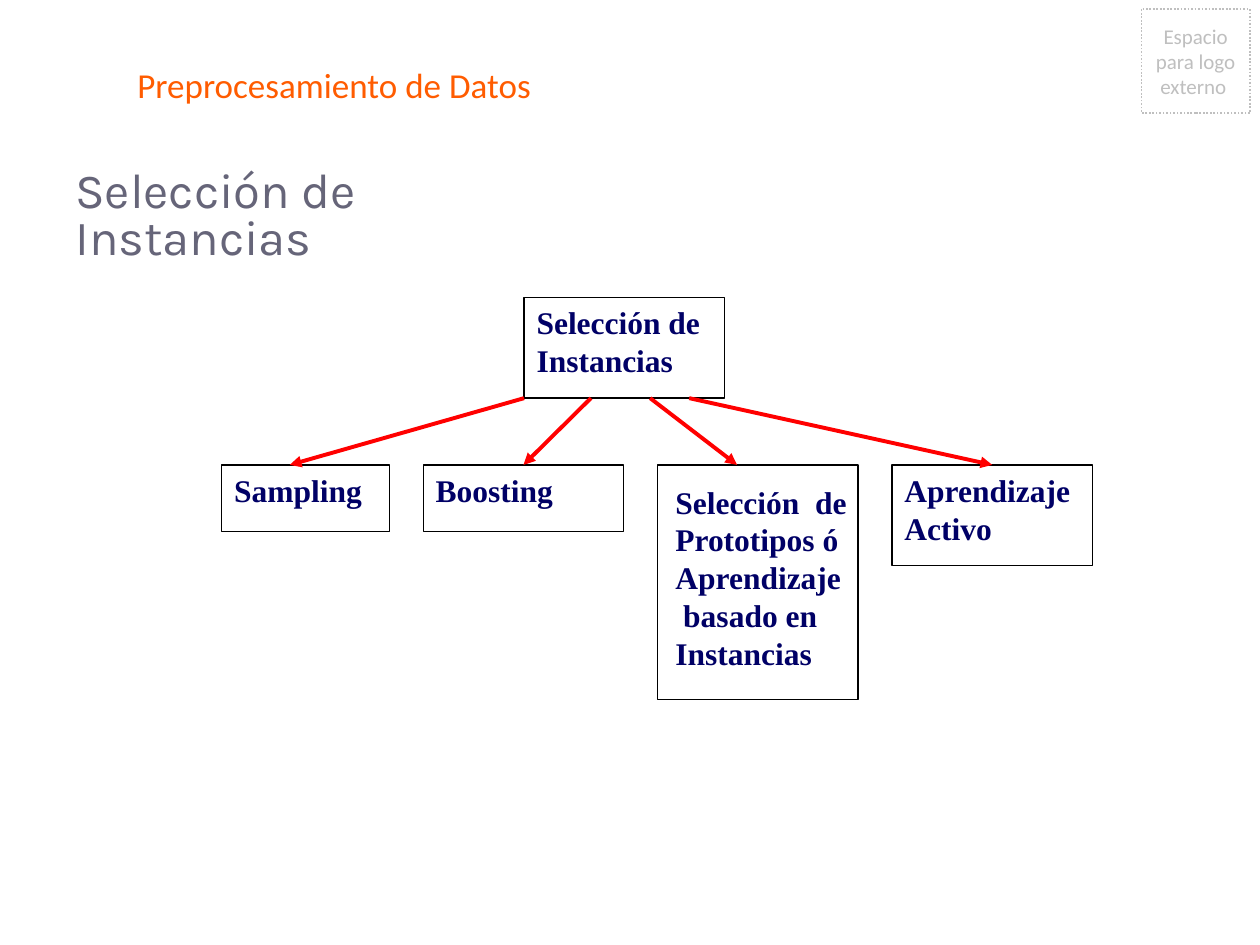
from pptx import Presentation
from pptx.dml.color import RGBColor
from pptx.enum.dml import MSO_LINE_DASH_STYLE as Dash
from pptx.enum.shapes import MSO_CONNECTOR as Conn, MSO_SHAPE as Shape
from pptx.enum.text import MSO_ANCHOR as Anchor, PP_ALIGN as Align
from pptx.oxml.ns import qn
from pptx.util import Inches, Pt
from lxml.etree import SubElement

TITLE = "Preprocesamiento de Datos"
HEAD = "Selección de Instancias"
LOGO = "Espacio para logo externo "
ROOT = "Selección de Instancias"
# text, width, height, text inset (left, top), arrow start x, arrow end x (None: middle of box)
KIDS = [
    ("Sampling", 1.33, 0.53, (0.1, 0.05), 4.16, 2.3),
    ("Boosting", 1.59, 0.53, (0.1, 0.05), 4.69, None),
    ("Selección  de Prototipos ó Aprendizaje\n basado en Instancias",
     1.59, 1.86, (0.14, 0.14), 5.16, 5.85),
    ("Aprendizaje\nActivo", 1.59, 0.8, (0.1, 0.05), 5.47, None),
]
ROOT_AT = (4.16, 2.36, 1.59, 0.8)
LEFT, TOP, GAP = 1.76, 3.69, 0.27

# font, size, colour, bold
THEME = {
    "title": ("Calibri", 20, "FF5C00", False),
    "head": ("Karla", 28, "666579", False),
    "logo": ("Calibri", 12, "BFBFBF", False),
    "node": ("Times New Roman", 18, "000066", True),
    "fill": "FFFFFF", "edge": "000000", "arrow": "FF0000", "dots": "BFBFBF",
}


def rgb(key):
    return RGBColor.from_string(THEME[key])


def write(frame, text, style, align=Align.LEFT, anchor=Anchor.TOP):
    frame.text = text
    frame.word_wrap = True
    frame.vertical_anchor = anchor
    name, size, color, bold = THEME[style]
    for para in frame.paragraphs:
        para.alignment = align
        for run in para.runs:
            font = run.font
            font.name, font.size, font.bold = name, Pt(size), bold
            font.color.rgb = RGBColor.from_string(color)


def add_box(shapes, at, edge, width):
    box = shapes.add_shape(Shape.RECTANGLE, *map(Inches, at))
    box.shadow.inherit = False
    box.line.color.rgb = rgb(edge)
    box.line.width = Pt(width)
    return box


def add_node(shapes, at, text, inset=(0.1, 0.05)):
    box = add_box(shapes, at, "edge", 0.75)
    box.fill.solid()
    box.fill.fore_color.rgb = rgb("fill")
    frame = box.text_frame
    frame.margin_left, frame.margin_top = map(Inches, inset)
    frame.margin_right = 0
    write(frame, text, "node")
    return box


def add_arrow(shapes, start, end):
    line = shapes.add_connector(Conn.STRAIGHT, *map(Inches, start + end))
    line.line.color.rgb = rgb("arrow")
    line.line.width = Pt(2.25)
    props = line._element.spPr
    SubElement(props.find(qn("a:ln")), qn("a:tailEnd"), type="triangle")
    SubElement(props, qn("a:effectLst"))
    return line


def add_tree(shapes):
    add_node(shapes, ROOT_AT, ROOT)
    base = ROOT_AT[1] + ROOT_AT[3]
    left, links = LEFT, []
    for text, width, height, inset, start, end in KIDS:
        box = add_node(shapes, (left, TOP, width, height), text, inset)
        links.append((box, start, end, left + width / 2))
        left += width + GAP
    for box, start, end, mid in links:
        tip = mid if end is None else end
        arrow = add_arrow(shapes, (start, base), (tip, TOP))
        if end is None:
            arrow.end_connect(box, 0)


def main():
    prs = Presentation()
    prs.slide_width, prs.slide_height = Inches(10), Inches(7.5)
    slide = prs.slides.add_slide(prs.slide_layouts[5])
    shapes = slide.shapes

    title = shapes.title
    title.left, title.top, title.width, title.height = map(
        Inches, (0.99, 0.06, 8.01, 0.83))
    write(title.text_frame, TITLE, "title", anchor=Anchor.BOTTOM)

    logo = add_box(shapes, (9.06, 0.07, 0.86, 0.83), "dots", 1)
    logo.fill.background()
    logo.line.dash_style = Dash.ROUND_DOT
    write(logo.text_frame, LOGO, "logo", Align.CENTER, Anchor.MIDDLE)

    add_tree(shapes.add_group_shape().shapes)

    head = shapes.add_textbox(*map(Inches, (0.5, 1.31, 4.19, 0.47)))
    write(head.text_frame, HEAD, "head")
    para = head.text_frame.paragraphs[0]
    para.line_spacing, para.space_before = 0.8, Pt(5.6)

    prs.save("out.pptx")


if __name__ == "__main__":
    main()
